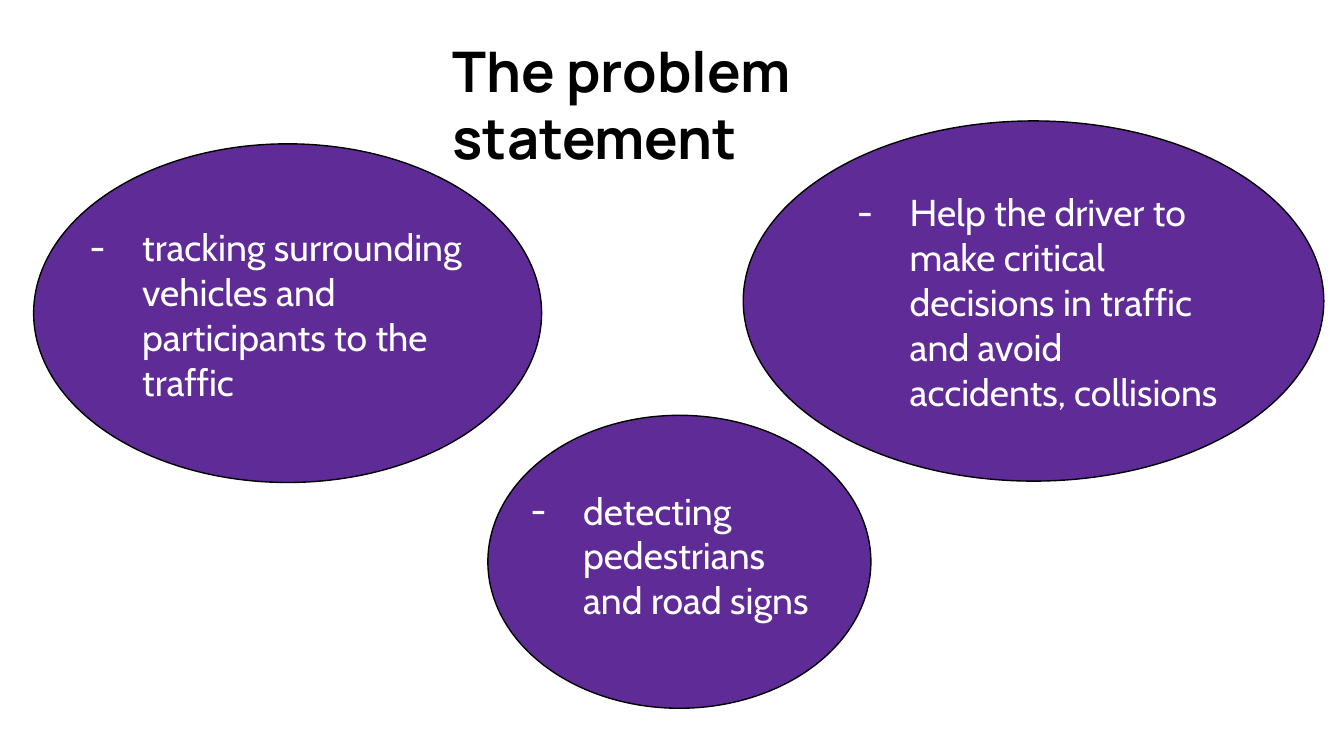
from dataclasses import dataclass

from lxml import etree
from pptx import Presentation
from pptx import util as u
from pptx.dml.color import RGBColor
from pptx.enum import shapes, text
from pptx.oxml import ns

Inches, Pt = u.Inches, u.Pt


@dataclass(frozen=True)
class Theme:
    purple: RGBColor = RGBColor(0x5E, 0x2B, 0x97)
    black: RGBColor = RGBColor(0, 0, 0)
    white: RGBColor = RGBColor(255, 255, 255)
    title_font: str = "Manrope"
    body_font: str = "Cabin"
    title_size: int = 30
    body_size: int = 20


theme = Theme()


def add_text(page, place, words, font, size, color, bold=False):
    box = page.shapes.add_textbox(*map(Inches, place))
    frame = box.text_frame
    frame.word_wrap = True
    frame.vertical_anchor = text.MSO_ANCHOR.TOP
    frame.margin_left = frame.margin_right = Inches(0.1)
    frame.margin_top = frame.margin_bottom = Inches(0.1)
    para = frame.paragraphs[0]
    span = para.add_run()
    span.text = words
    span.font.name = font
    span.font.size = Pt(size)
    span.font.bold = bold
    span.font.color.rgb = color
    return para


def add_dash(para, font, color):
    props = para._p.get_or_add_pPr()
    props.set("marL", str(Inches(0.5)))
    props.set("indent", str(Inches(-0.39)))
    bullet_color = etree.SubElement(props, ns.qn("a:buClr"))
    etree.SubElement(bullet_color, ns.qn("a:srgbClr"), val=str(color))
    etree.SubElement(props, ns.qn("a:buFont"), typeface=font)
    etree.SubElement(props, ns.qn("a:buChar"), char="-")


# Widescreen page, 16:9
deck = Presentation()
deck.slide_width = Inches(10)
deck.slide_height = deck.slide_width * 9 // 16
page = deck.slides.add_slide(deck.slide_layouts[6])

# Each goal: ellipse place, text place, wording
goals = [
    ((0.25, 1.07, 3.78, 2.52), (0.46, 1.57, 3.36, 1.32),
     "tracking surrounding vehicles and participants to the traffic"),
    ((5.53, 0.9, 4.32, 2.68), (6.17, 1.31, 3.05, 1.78),
     "Help the driver to make critical decisions in traffic and avoid "
     "accidents, collisions"),
    ((3.63, 3.09, 2.85, 2.18), (3.74, 3.53, 2.53, 1.87),
     "detecting pedestrians and road signs"),
]

# Ellipses
for ellipse_place, _, _ in goals:
    ellipse = page.shapes.add_shape(
        shapes.MSO_SHAPE.OVAL, *map(Inches, ellipse_place))
    ellipse.shadow.inherit = False
    ellipse.fill.solid()
    ellipse.fill.fore_color.rgb = theme.purple
    ellipse.line.color.rgb = theme.black
    ellipse.line.width = Pt(0.75)

# Title
add_text(page, (3.27, 0.17, 3.57, 0.68), "The problem statement",
         theme.title_font, theme.title_size, theme.black, bold=True)

# Goal texts
for _, text_place, words in goals:
    para = add_text(page, text_place, words,
                    theme.body_font, theme.body_size, theme.white)
    add_dash(para, theme.body_font, theme.white)

deck.save("out.pptx")
